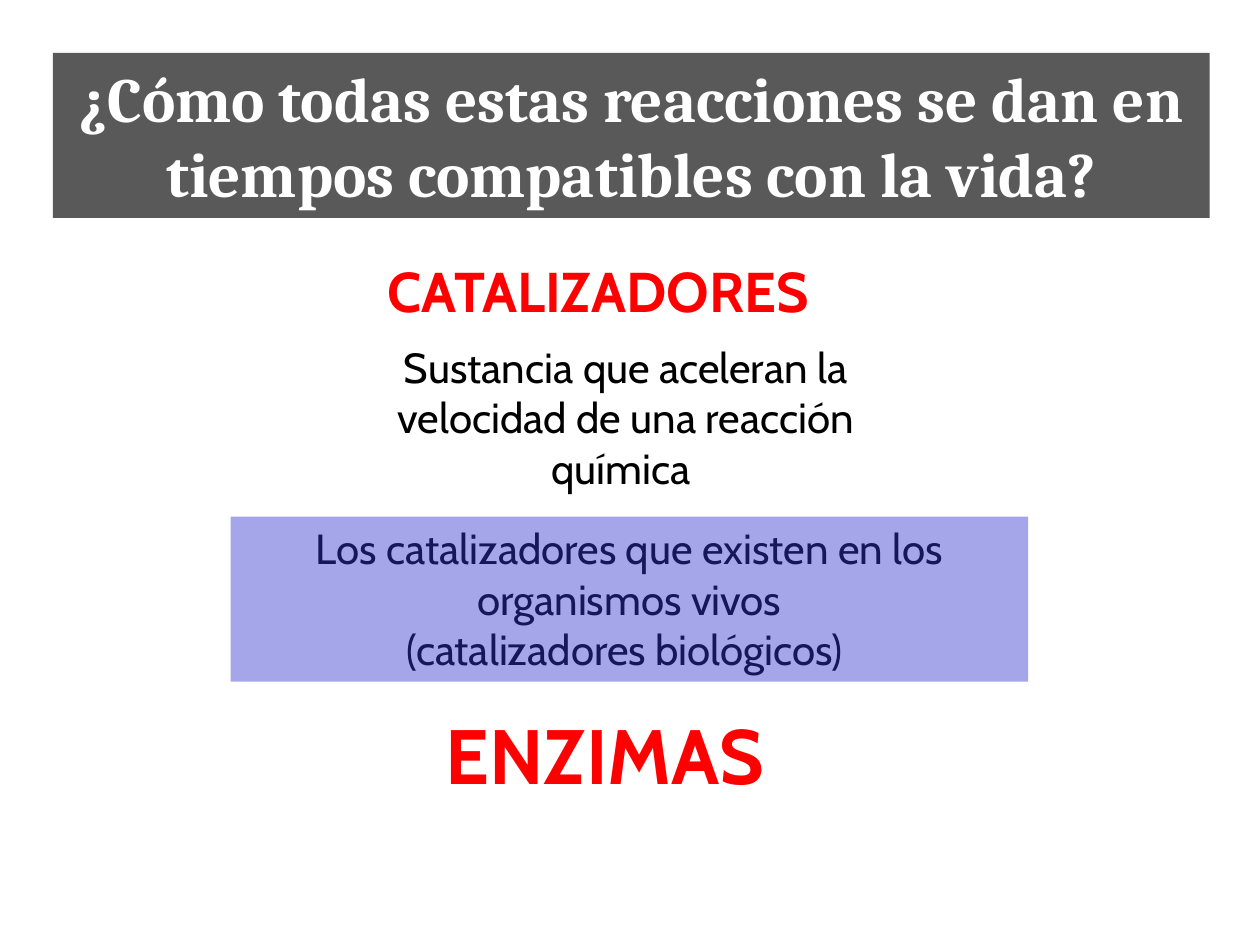
from dataclasses import dataclass
from pptx import Presentation
from pptx.dml.color import RGBColor as RGB
from pptx.enum.text import MSO_ANCHOR as ANCHOR, PP_ALIGN as ALIGN
from pptx.util import Inches, Pt


@dataclass(frozen=True)
class Theme:
    heading_font: str = "Cambria"
    body_font: str = "Cabin"
    white: str = "FFFFFF"
    black: str = "000000"
    red: str = "FF0000"
    gray: str = "595959"
    lavender: str = "A5A5E9"
    navy: str = "16165D"
    title_size: int = 36
    term_size: int = 32
    body_size: int = 24
    answer_size: int = 44


T = Theme()

BLOCKS = [
    dict(text="¿Cómo todas estas reacciones se dan en tiempos compatibles con la vida?",
         box=(0.42, 0.42, 9.18, 1.31), font=T.heading_font, size=T.title_size,
         color=T.white, bold=True, align=ALIGN.CENTER, fill=T.gray),
    dict(text="CATALIZADORES", box=(2.98, 1.99, 4.02, 0.64),
         size=T.term_size, color=T.red, bold=True),
    dict(text="Sustancia que aceleran la velocidad de una reacción química ",
         box=(2.99, 2.66, 3.95, 1.31), size=T.body_size, color=T.black,
         align=ALIGN.CENTER),
    dict(text="Los catalizadores que existen en los organismos vivos\n"
              "(catalizadores biológicos) ",
         box=(1.83, 4.1, 6.33, 1.31), size=T.body_size, color=T.navy,
         align=ALIGN.CENTER, fill=T.lavender),
    dict(text="ENZIMAS", box=(3.44, 5.57, 3.1, 0.84),
         size=T.answer_size, color=T.red, bold=True),
]


def add_block(s, text, box, size, color, font=T.body_font, bold=False,
              align=ALIGN.LEFT, fill=None):
    sp = s.shapes.add_textbox(*map(Inches, box))
    if fill:
        sp.fill.solid()
        sp.fill.fore_color.rgb = RGB.from_string(fill)
    tf = sp.text_frame
    tf.word_wrap = True
    tf.vertical_anchor = ANCHOR.TOP
    tf.text = text
    for p in tf.paragraphs:
        p.alignment = align
        for r in p.runs:
            r.font.name = font
            r.font.size = Pt(size)
            r.font.bold = bold
            r.font.color.rgb = RGB.from_string(color)


def main():
    prs = Presentation()
    prs.slide_width, prs.slide_height = Inches(10), Inches(7.5)
    s = prs.slides.add_slide(prs.slide_layouts[6])
    for block in BLOCKS:
        add_block(s, **block)
    prs.save("out.pptx")


if __name__ == "__main__":
    main()
